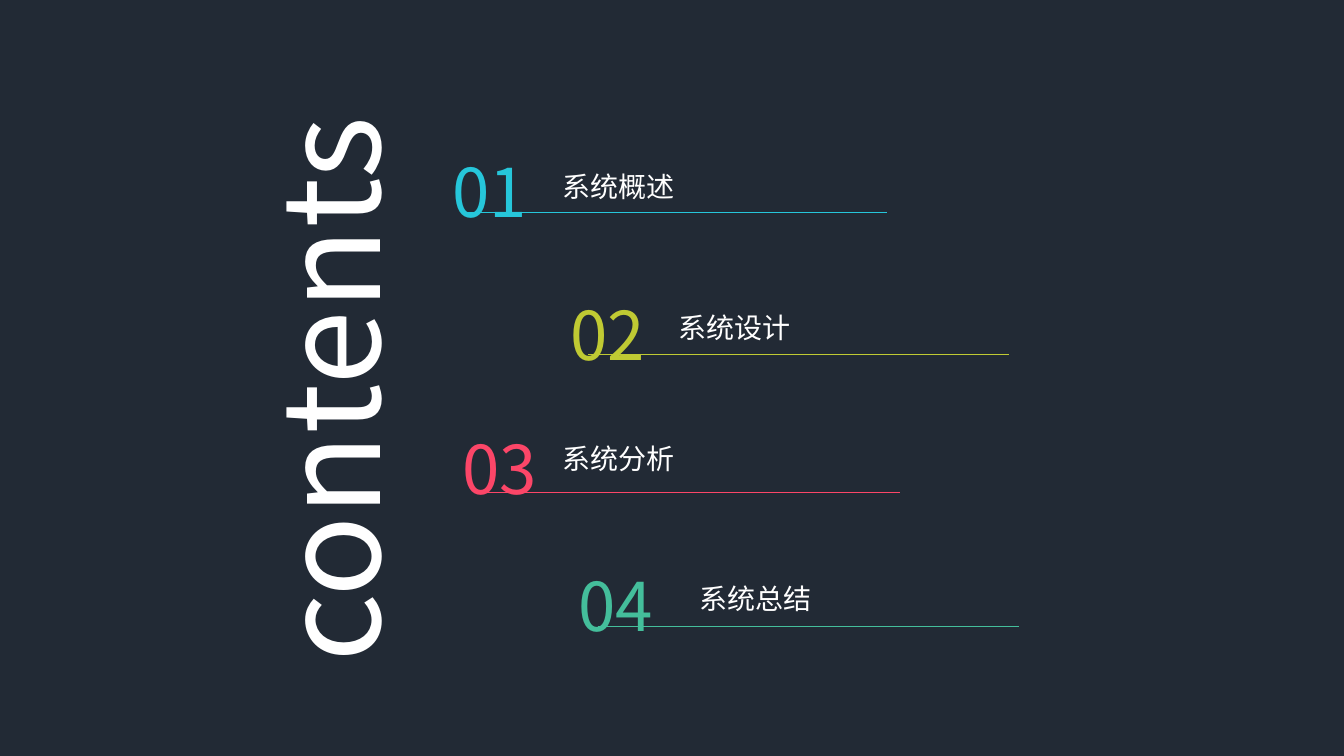
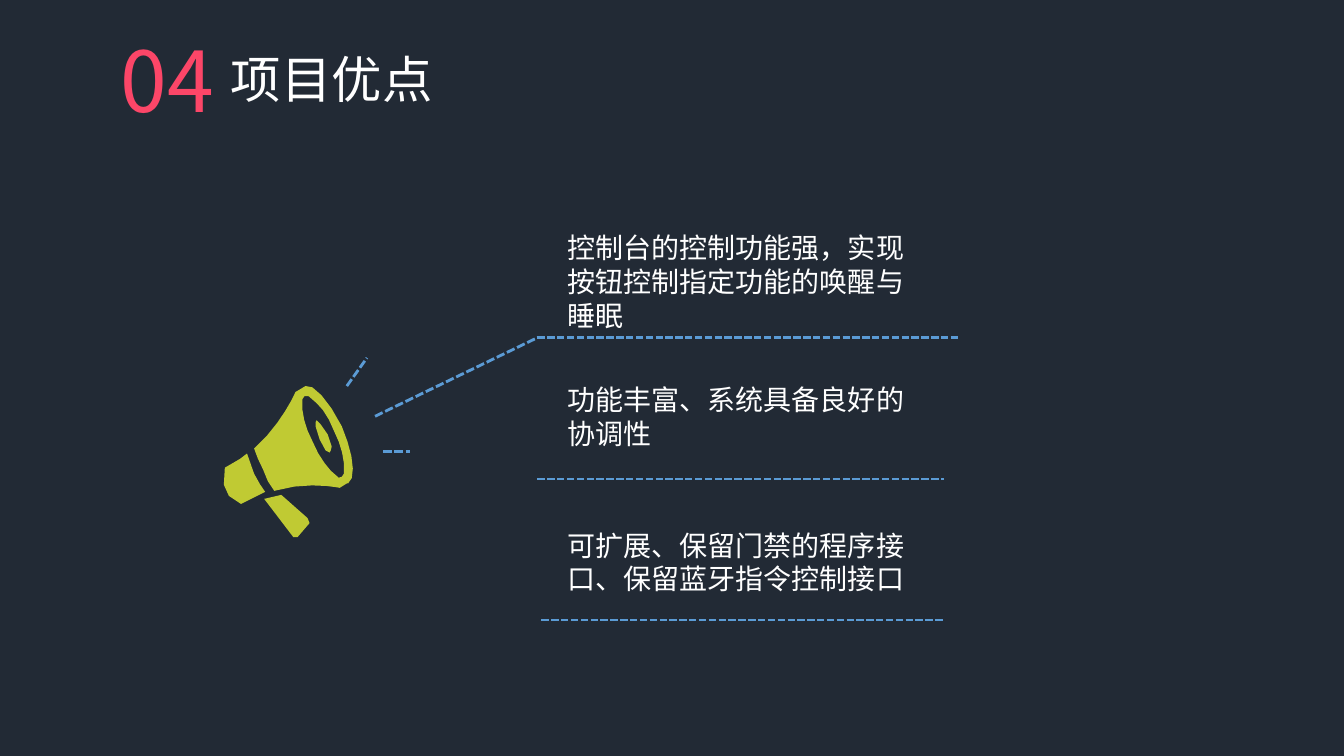
"""Builds the contents slide and the project advantages slide."""
from math import dist

from lxml.etree import SubElement
from pptx import Presentation
from pptx.dml.color import RGBColor
from pptx.enum.dml import MSO_LINE
from pptx.enum.shapes import MSO_CONNECTOR
from pptx.enum.text import MSO_ANCHOR, MSO_AUTO_SIZE, PP_ALIGN
from pptx.oxml.ns import qn
from pptx.util import Inches, Pt

FONT = "Noto Sans CJK SC"
NAVY = RGBColor(0x22, 0x2A, 0x35)
WHITE = RGBColor(0xFF, 0xFF, 0xFF)
CYAN = RGBColor(0x26, 0xC6, 0xDA)
LIME = RGBColor(0xC0, 0xCA, 0x33)
RED = RGBColor(0xFC, 0x46, 0x68)
GREEN = RGBColor(0x44, 0xBE, 0x9B)
BLUE = RGBColor(0x5B, 0x9B, 0xD5)

NUMBER_SIZE = (1.07, 0.91)
LABEL_SIZE = (1.32, 0.44)
RULE_LENGTH = 4.18
AGENDA = [
    {"number": "01", "label": "系统概述", "color": CYAN,
     "number_at": (4.39, 1.44), "label_at": (5.48, 1.63), "rule_at": (4.62, 2.11)},
    {"number": "02", "label": "系统设计", "color": LIME,
     "number_at": (5.56, 2.86), "label_at": (6.63, 3.03), "rule_at": (5.83, 3.51)},
    {"number": "03", "label": "系统分析", "color": RED,
     "number_at": (4.49, 4.19), "label_at": (5.48, 4.33), "rule_at": (4.75, 4.88)},
    {"number": "04", "label": "系统总结", "color": GREEN,
     "number_at": (5.64, 5.55), "label_at": (6.84, 5.72), "rule_at": (5.93, 6.21)},
]

ADVANTAGE_LEFT, ADVANTAGE_WIDTH = 5.53, 3.68
ADVANTAGES = [
    ("控制台的控制功能强，实现按钮控制指定功能的唤醒与睡眠", 2.24, 1.11),
    ("功能丰富、系统具备良好的协调性", 3.75, 0.77),
    ("可扩展、保留门禁的程序接口、保留蓝牙指令控制接口", 5.19, 0.77),
]
DASHES = [
    ((3.72, 4.13), (5.33, 3.35), 2),
    ((5.33, 3.35), (9.5, 3.35), 1.75),
    ((5.33, 4.75), (9.36, 4.75), 1.75),
    ((5.37, 6.15), (9.36, 6.15), 1.75),
    ((3.44, 3.83), (3.64, 3.55), 2),
    ((3.8, 4.48), (4.07, 4.48), 2),
]

CURVE_STEP = 0.12
UNITS_PER_INCH = 1000
MEGAPHONE = {
    "horn": [
        (3.39, 4.23), [(3.26, 3.97), (3.1, 3.8), (3.03, 3.83)], (2.93, 3.89),
        [(2.93, 3.89), (2.8, 4.2), (2.52, 4.45)],
        [(2.54, 4.51), (2.57, 4.59), (2.61, 4.66)],
        [(2.64, 4.75), (2.67, 4.81), (2.72, 4.87)],
        [(3.06, 4.77), (3.37, 4.84), (3.37, 4.84)], (3.45, 4.79), (3.45, 4.8),
        [(3.54, 4.74), (3.5, 4.49), (3.39, 4.23)],
    ],
    "opening": [
        (3.39, 4.73), [(3.38, 4.75), (3.36, 4.74), (3.36, 4.74)],
        [(3.33, 4.72), (3.3, 4.7), (3.28, 4.67)],
        [(3.22, 4.6), (3.15, 4.51), (3.1, 4.38)],
        [(3.04, 4.27), (3.01, 4.16), (3, 4.07)],
        [(2.99, 4.03), (3, 3.99), (3, 3.96)],
        [(3, 3.96), (3.01, 3.93), (3.02, 3.93)],
        [(3.03, 3.92), (3.06, 3.93), (3.06, 3.93)],
        [(3.08, 3.94), (3.11, 3.96), (3.14, 4)],
        [(3.2, 4.05), (3.27, 4.16), (3.31, 4.27)],
        [(3.37, 4.38), (3.4, 4.5), (3.41, 4.59)],
        [(3.41, 4.65), (3.42, 4.67), (3.41, 4.7)],
        [(3.4, 4.72), (3.4, 4.73), (3.39, 4.73)],
    ],
    "back": [
        (2.52, 4.7), [(2.5, 4.64), (2.47, 4.56), (2.45, 4.5)],
        [(2.4, 4.54), (2.36, 4.57), (2.3, 4.6)], (2.23, 4.64), (2.22, 4.81),
        (2.27, 4.92), (2.39, 5), (2.47, 4.96),
        [(2.52, 4.93), (2.57, 4.91), (2.63, 4.88)],
        [(2.6, 4.84), (2.56, 4.78), (2.52, 4.7)],
    ],
    "handle": [
        (2.79, 4.91), (2.62, 4.95), (2.91, 5.33),
        [(2.92, 5.35), (2.95, 5.35), (2.95, 5.33)], (3.07, 5.19),
        [(3.07, 5.17), (3.07, 5.15), (3.05, 5.14)], (2.79, 4.91),
    ],
    "core": [
        (3.27, 4.49), [(3.25, 4.49), (3.25, 4.48), (3.23, 4.47)],
        [(3.21, 4.44), (3.19, 4.39), (3.17, 4.36)],
        [(3.14, 4.31), (3.14, 4.27), (3.13, 4.23)],
        [(3.13, 4.22), (3.12, 4.2), (3.13, 4.19)],
        [(3.13, 4.19), (3.13, 4.18), (3.14, 4.17)],
        (3.15, 4.18), (3.18, 4.21),
        [(3.2, 4.23), (3.23, 4.26), (3.25, 4.31)],
        [(3.27, 4.35), (3.28, 4.4), (3.29, 4.43)],
        [(3.29, 4.45), (3.29, 4.47), (3.28, 4.47)], (3.27, 4.49),
    ],
}


def add_text(slide, text, at, size, *, points, color=WHITE, wrap=True, title=False, rotation=0):
    box = slide.shapes.title if title else slide.shapes.add_textbox(0, 0, 0, 0)
    box.left, box.top, box.width, box.height = (Inches(value) for value in (*at, *size))
    box.rotation = rotation
    frame = box.text_frame
    frame.word_wrap = wrap
    frame.auto_size = MSO_AUTO_SIZE.SHAPE_TO_FIT_TEXT
    frame.vertical_anchor = MSO_ANCHOR.TOP
    paragraph = frame.paragraphs[0]
    paragraph.alignment = PP_ALIGN.LEFT
    run = paragraph.add_run()
    run.text = text
    run.font.name = FONT
    run.font.size = Pt(points)
    run.font.color.rgb = color
    SubElement(run.font._element, qn("a:ea"), typeface=FONT)


def add_line(slide, start, end, color, width, dash=None):
    ends = (Inches(value) for value in (*start, *end))
    connector = slide.shapes.add_connector(MSO_CONNECTOR.STRAIGHT, *ends)
    connector.line.color.rgb = color
    connector.line.width = Pt(width)
    if dash:
        connector.line.dash_style = dash
    SubElement(connector._element.spPr, qn("a:effectLst"))


def flatten(outline):
    points = [outline[0]]
    for step in outline[1:]:
        if isinstance(step, tuple):
            points.append(step)
            continue
        controls = [points[-1], *step]
        count = max(1, round(dist(controls[0], controls[-1]) / CURVE_STEP))
        for index in range(1, count + 1):
            t = index / count
            weights = ((1 - t) ** 3, 3 * t * (1 - t) ** 2, 3 * t * t * (1 - t), t ** 3)
            points.append(tuple(
                sum(weight * control[axis] for weight, control in zip(weights, controls))
                for axis in (0, 1)))
    return [(round(x * UNITS_PER_INCH), round(y * UNITS_PER_INCH)) for x, y in points]


def add_megaphone(slide):
    outlines = [flatten(outline) for outline in MEGAPHONE.values()]
    builder = slide.shapes.build_freeform(*outlines[0][0], scale=Inches(1) / UNITS_PER_INCH)
    for index, points in enumerate(outlines):
        if index:
            builder.move_to(*points[0])
        builder.add_line_segments(points[1:-1], close=True)
    megaphone = builder.convert_to_shape()
    megaphone.shadow.inherit = False
    megaphone.fill.solid()
    megaphone.fill.fore_color.rgb = LIME
    megaphone.line.fill.background()


def add_contents_slide(presentation):
    slide = presentation.slides.add_slide(presentation.slide_layouts[5])
    add_text(slide, "contents", (0.35, 2.91), (5.81, 1.72), points=96, title=True, rotation=270)
    for entry in AGENDA:
        left, top = entry["rule_at"]
        add_text(slide, entry["number"], entry["number_at"], NUMBER_SIZE,
                 points=48, color=entry["color"])
        add_line(slide, (left, top), (left + RULE_LENGTH, top), entry["color"], 0.25)
        add_text(slide, entry["label"], entry["label_at"], LABEL_SIZE, points=20, wrap=False)


def add_advantages_slide(presentation):
    slide = presentation.slides.add_slide(presentation.slide_layouts[5])
    add_text(slide, "04", (1.1, 0.23), (1.46, 1.11), points=60, color=RED)
    add_text(slide, "项目优点", (2.19, 0.43), (5.64, 0.71), points=36, title=True)
    for text, top, height in ADVANTAGES:
        add_text(slide, text, (ADVANTAGE_LEFT, top), (ADVANTAGE_WIDTH, height), points=20)
    add_megaphone(slide)
    for start, end, width in DASHES:
        add_line(slide, start, end, BLUE, width, MSO_LINE.SQUARE_DOT)


def main():
    presentation = Presentation()
    presentation.slide_width, presentation.slide_height = Inches(13.33), Inches(7.5)
    background = presentation.slide_master.background.fill
    background.solid()
    background.fore_color.rgb = NAVY
    add_contents_slide(presentation)
    add_advantages_slide(presentation)
    presentation.save("out.pptx")


if __name__ == "__main__":
    main()
